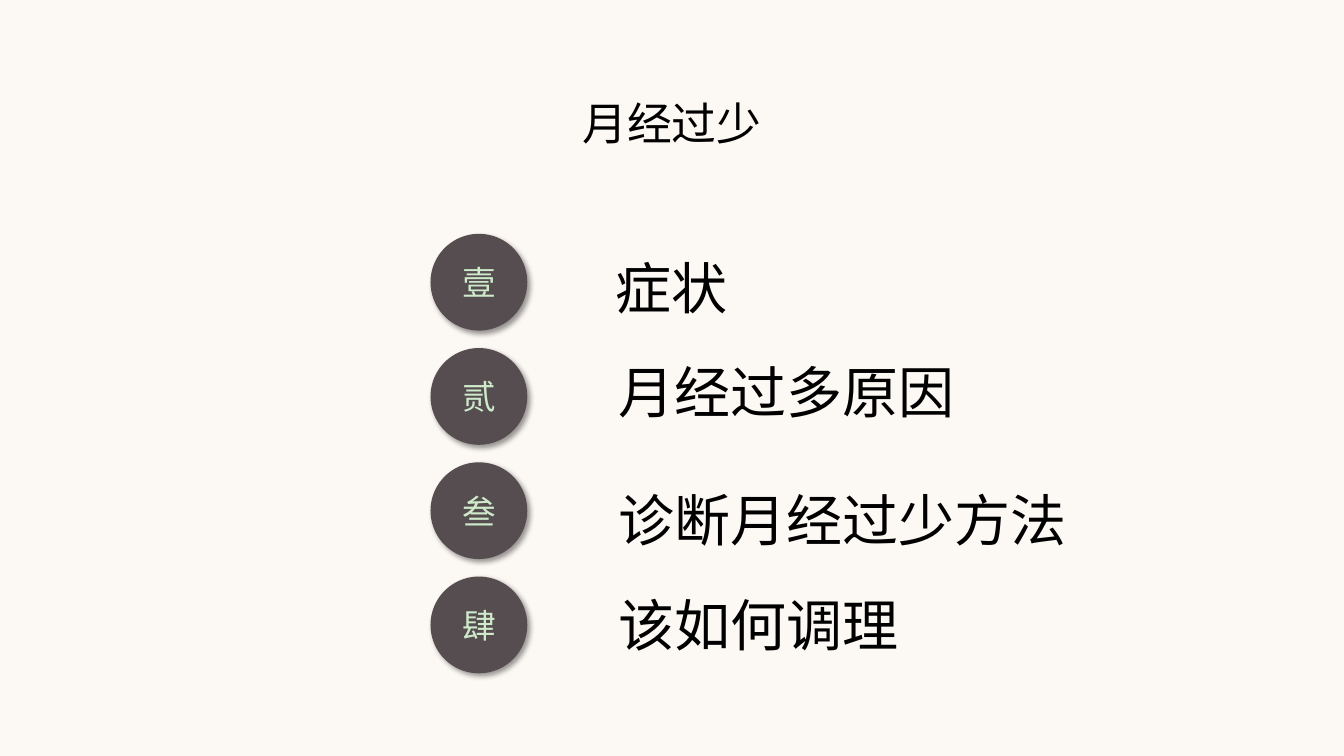
from lxml import etree
from pptx import Presentation
from pptx import util as u
from pptx.dml.color import RGBColor
from pptx.enum import shapes, text
from pptx.oxml import ns

PX = 9144
FONT = "Noto Sans CJK SC"
CREAM = RGBColor(0xFC, 0xF8, 0xF4)
BROWN = RGBColor(0x56, 0x4D, 0x50)
MINT = RGBColor(0xCE, 0xEA, 0xCA)
BLACK = RGBColor(0x00, 0x00, 0x00)
DISC_SIZE = 96
DISC_STEP = 113.33
TOPICS = [
    ("壹", "症状", (174, 15, 302)),
    ("贰", "月经过多原因", (177, 118, 590)),
    ("叁", "诊断月经过少方法", (177, 245, 600)),
    ("肆", "该如何调理", (177, 349, 302)),
]


def emu(*lengths):
    """Turn px lengths into EMU."""
    return [u.Emu(round(length * PX)) for length in lengths]


def write(shape, wording, size, color, align):
    """Write one styled run into a shape."""
    paragraph = shape.text_frame.paragraphs[0]
    paragraph.alignment = align
    run = paragraph.add_run()
    run.text = wording
    run.font.size = u.Pt(size)
    run.font.name = FONT
    run.font.color.rgb = color
    east_asian = etree.SubElement(run.font._element, ns.qn("a:ea"))
    east_asian.set("typeface", FONT)


def add_label(parent, box, wording, size, align=text.PP_ALIGN.LEFT):
    """Add a text box that grows with its wording."""
    label = parent.add_textbox(*emu(*box))
    label.text_frame.word_wrap = True
    label.text_frame.auto_size = text.MSO_AUTO_SIZE.SHAPE_TO_FIT_TEXT
    write(label, wording, size, BLACK, align)


def add_shadow(shape):
    """Give a shape a soft shadow to the lower right."""
    shape.shadow.inherit = False
    effects = shape._element.spPr.find(ns.qn("a:effectLst"))
    shadow = etree.SubElement(
        effects, ns.qn("a:outerShdw"), blurRad=str(u.Pt(4)), dist=str(u.Pt(3)),
        dir="2700000", algn="tl", rotWithShape="0")
    color = etree.SubElement(shadow, ns.qn("a:srgbClr"), val=str(BLACK))
    etree.SubElement(color, ns.qn("a:alpha"), val="40000")


def add_disc(parent, left, top, numeral):
    """Add a round numeral marker."""
    disc = parent.add_shape(shapes.MSO_SHAPE.OVAL, *emu(left, top, DISC_SIZE, DISC_SIZE))
    disc.fill.solid()
    disc.fill.fore_color.rgb = BROWN
    disc.line.fill.background()
    add_shadow(disc)
    disc.text_frame.vertical_anchor = text.MSO_ANCHOR.MIDDLE
    write(disc, numeral, 24, MINT, text.PP_ALIGN.CENTER)


def add_contents(slide, left, top):
    """Add the numbered topics from the given corner."""
    group = slide.shapes.add_group_shape()
    for index, (numeral, topic, (across, down, width)) in enumerate(TOPICS):
        add_disc(group.shapes, left, top + index * DISC_STEP, numeral)
        add_label(group.shapes, (left + across, top + down, width, 77), topic, 40)


def main():
    """Build and save the contents slide."""
    presentation = Presentation()
    presentation.slide_width, presentation.slide_height = u.Inches(13.33), u.Inches(7.5)
    slide = presentation.slides.add_slide(presentation.slide_layouts[6])
    slide.background.fill.solid()
    slide.background.fill.fore_color.rgb = CREAM
    add_contents(slide, 427, 232)
    add_label(slide.shapes, (323, 90, 687, 64), "月经过少", 32, text.PP_ALIGN.CENTER)
    presentation.save("out.pptx")


if __name__ == "__main__":
    main()
